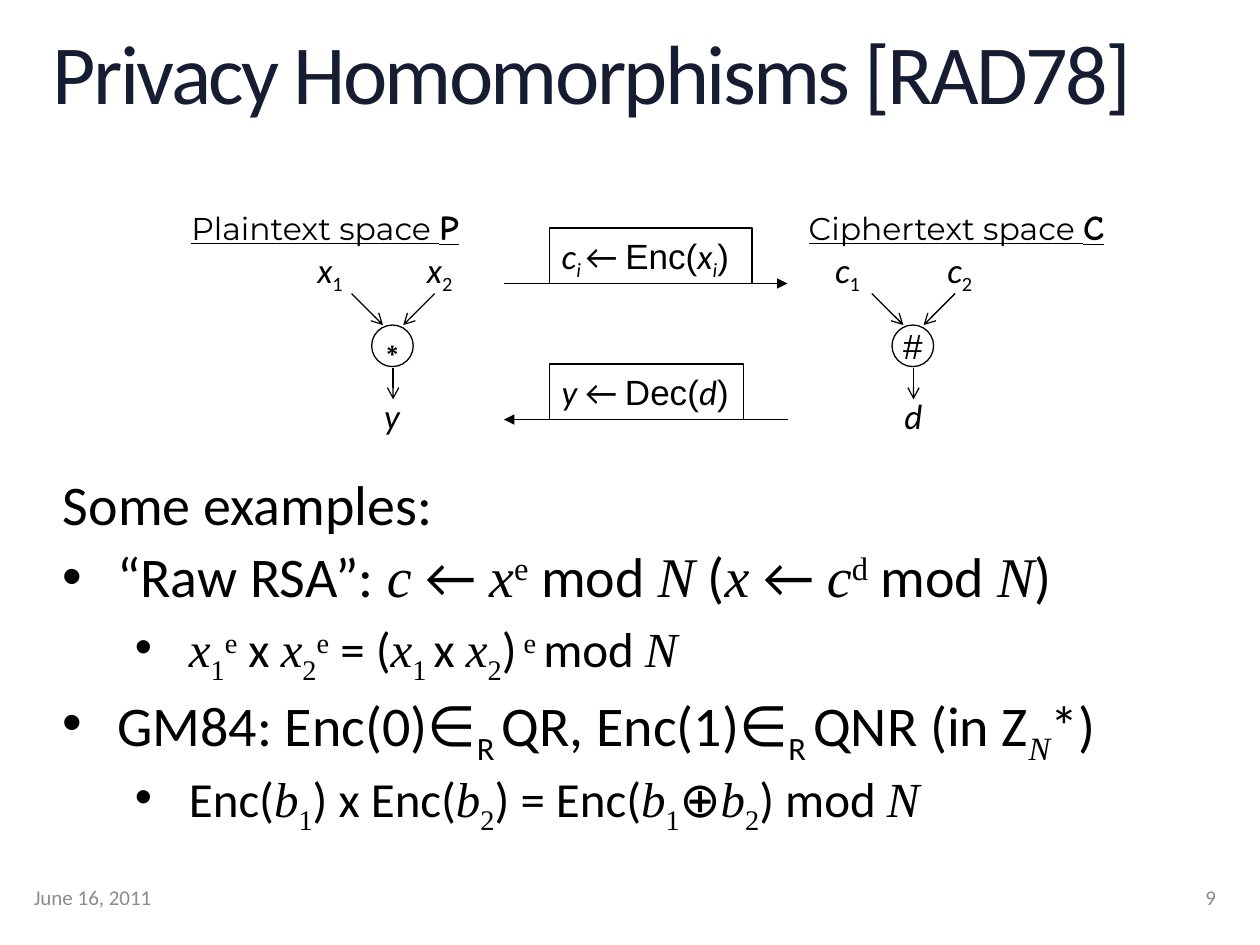
from dataclasses import dataclass, field
from typing import Optional

from lxml.etree import SubElement
from pptx import Presentation
from pptx.dml.color import RGBColor
from pptx.enum.shapes import MSO_CONNECTOR, MSO_SHAPE
from pptx.enum.text import MSO_ANCHOR, MSO_AUTO_SIZE, PP_ALIGN
from pptx.oxml.ns import qn
from pptx.util import Inches, Pt

BLACK = RGBColor(0, 0, 0)
NAVY = RGBColor(0x16, 0x1D, 0x32)
GREY = RGBColor(0x8C, 0x8C, 0x8C)
SANS, SERIF, ARIAL = "Calibri", "Times New Roman", "Arial"


@dataclass
class Run:
    text: str
    font: str = SANS
    slant: bool = False
    base: int = 0
    size: Optional[float] = None
    bold: bool = False
    under: bool = False


@dataclass
class Line:
    runs: list[Run]
    level: int = 0
    bullet: bool = True


@dataclass
class Side:
    """One half of the diagram: two inputs, an operator and a result."""
    name: str
    letter: str
    head: tuple[float, float]
    var: str
    left: float
    tab: float
    sign: str
    result: str
    mid: float


@dataclass
class Step:
    """A boxed formula resting on a long arrow."""
    runs: list[Run] = field(default_factory=list)
    top: float = 0
    width: float = 0
    end: str = "tailEnd"


def var(text: str, font: str = SERIF) -> Run:
    return Run(text, font, slant=True)


def sub(text: str, font: str = SERIF, slant: bool = False) -> Run:
    return Run(text, font, slant, base=-25)


def sup(text: str) -> Run:
    return Run(text, SERIF, base=30)


SIDES = [
    Side("Plaintext", "P", (1.42, 2.77), "x", 2.42, 0.87, "∗", "y", 3.12),
    Side("Ciphertext", "C", (6.32, 2.93), "c", 6.53, 0.89, "#", "d", 7.25),
]
STEPS = [
    Step([var("c", SANS), sub("i ", SANS, True), Run("← "), Run("Enc(", ARIAL),
          var("x", SANS), sub("i", SANS, True), Run(")", ARIAL)], 1.81, 1.61),
    Step([var("y ", SANS), Run("← "), Run("Dec(", ARIAL), var("d", SANS),
          Run(")", ARIAL)], 2.89, 1.54, "headEnd"),
]
LINES = [
    Line([Run("Some examples:")], bullet=False),
    Line([Run("“Raw RSA”: "), var("c "), Run("← "), var("x"), sup("e"),
          Run(" mod "), var("N"), Run(" ("), var("x "), Run("← "), var("c"),
          sup("d"), Run(" mod "), var("N"), Run(")")]),
    Line([var("x"), sub("1"), sup("e"), Run(" x "), var("x"), sub("2"), sup("e"),
          Run(" = ("), var("x"), sub("1 "), Run("x "), var("x"), sub("2"),
          Run(")"), sup(" e "), Run("mod "), var("N")], 1),
    Line([Run("GM84: Enc(0)∈"), sub("R ", SANS), Run("QR, Enc(1)∈"),
          sub("R ", SANS), Run("QNR (in Z"), sub("N", slant=True), Run("*)")]),
    Line([Run("Enc("), var("b"), sub("1"), Run(") x Enc("), var("b"), sub("2"),
          Run(") = Enc("), var("b"), sub("1"), Run("⊕"), var("b"), sub("2"),
          Run(") mod "), var("N")], 1),
]


def write(para, runs: list[Run], size: float, color: RGBColor = BLACK) -> None:
    for item in runs:
        run = para.add_run()
        run.text = item.text
        font = run.font
        font.name, font.size = item.font, Pt(item.size or size)
        font.italic, font.bold, font.underline = item.slant, item.bold, item.under
        font.color.rgb = color
        props = run._r.get_or_add_rPr()
        if item.base:
            props.set("baseline", str(item.base * 1000))
        for tag in ("a:ea", "a:cs"):
            SubElement(props, qn(tag)).set("typeface", item.font)


def add_text(slide, place: tuple, runs: list[Run], size: float = 20,
             color: RGBColor = BLACK):
    box = slide.shapes.add_textbox(*map(Inches, place))
    box.text_frame.word_wrap = True
    write(box.text_frame.paragraphs[0], runs, size, color)
    return box.text_frame


def add_node(slide, kind, place: tuple, runs: list[Run]):
    """Outlined shape whose text does not wrap."""
    node = slide.shapes.add_shape(kind, *map(Inches, place))
    node.shadow.inherit = False
    node.fill.background()
    node.line.color.rgb, node.line.width = BLACK, Pt(0.75)
    frame = node.text_frame
    frame.word_wrap = False
    write(frame.paragraphs[0], runs, 20)
    return frame


def add_arrow(slide, start: tuple, stop: tuple, head: str = "arrow",
              end: str = "tailEnd") -> None:
    link = slide.shapes.add_connector(
        MSO_CONNECTOR.STRAIGHT, *map(Inches, start + stop))
    link.line.color.rgb, link.line.width = BLACK, Pt(0.75)
    SubElement(link.line._get_or_add_ln(), qn(f"a:{end}")).set("type", head)
    SubElement(link._element.spPr, qn("a:effectLst"))


def clear_edge(frame) -> None:
    frame.margin_left = frame.margin_right = 0
    frame.margin_top = frame.margin_bottom = 0


def add_side(slide, side: Side) -> None:
    add_text(slide, (side.head[0], 1.58, side.head[1], 0.43), [
        Run(f"{side.name} space ", "Montserrat", size=18, under=True),
        Run(side.letter, "Comic Neue", bold=True, under=True)])
    pair = add_text(slide, (side.left, 1.92, 1.63, 0.43), [
        var(side.var, SANS), sub("1\t", SANS), var(side.var, SANS), sub("2", SANS)])
    tabs = SubElement(pair.paragraphs[0]._p.get_or_add_pPr(), qn("a:tabLst"))
    tab = SubElement(tabs, qn("a:tab"))
    tab.set("pos", str(Inches(side.tab)))
    tab.set("algn", "l")

    mid = side.mid
    frame = add_node(slide, MSO_SHAPE.OVAL, (mid - 0.17, 2.58, 0.33, 0.33),
                     [Run(side.sign, ARIAL)])
    frame.vertical_anchor = MSO_ANCHOR.MIDDLE
    frame.paragraphs[0].alignment = PP_ALIGN.CENTER
    for way in (-1, 1):
        add_arrow(slide, (mid + way * 0.33, 2.33), (mid + way * 0.08, 2.58))
    add_arrow(slide, (mid, 2.92), (mid, 3.17))
    add_text(slide, (mid - 0.17, 3.08, 0.33, 0.43), [var(side.result, SANS)])


def add_step(slide, step: Step) -> None:
    frame = add_node(slide, MSO_SHAPE.RECTANGLE,
                     (4.36, step.top, step.width, 0.44), step.runs)
    frame.auto_size = MSO_AUTO_SIZE.SHAPE_TO_FIT_TEXT
    frame.vertical_anchor = MSO_ANCHOR.TOP
    frame.paragraphs[0].alignment = PP_ALIGN.LEFT
    base = step.top + 0.44
    add_arrow(slide, (4, base), (6.25, base), "triangle", step.end)


def add_body(slide) -> None:
    box = slide.shapes.add_textbox(*map(Inches, (0.5, 3.79, 9.17, 2.71)))
    frame = box.text_frame
    frame.word_wrap = True
    clear_edge(frame)
    for index, line in enumerate(LINES):
        para = frame.add_paragraph() if index else frame.paragraphs[0]
        size = 28 if line.level else 32
        para.level, para.line_spacing = line.level, 0.9
        if index:
            para.space_before = Pt(size * 0.2)
        if line.bullet:
            props = para._p.get_or_add_pPr()
            props.set("marL", str(Inches(1 if line.level else 0.43)))
            props.set("indent", str(Inches(-0.43)))
            SubElement(props, qn("a:buFont")).set("typeface", ARIAL)
            SubElement(props, qn("a:buChar")).set("char", "•")
        write(para, line.runs, size)


def main() -> None:
    deck = Presentation()
    deck.slide_width, deck.slide_height = Inches(10), Inches(7.5)
    slide = deck.slides.add_slide(deck.slide_layouts[6])

    title = add_text(slide, (0.42, 0.25, 9.17, 0.73),
                     [Run("Privacy Homomorphisms [RAD78]")], 48, NAVY)
    clear_edge(title)
    title.paragraphs[0].line_spacing = 0.9
    title.paragraphs[0].runs[0]._r.get_or_add_rPr().set("spc", "-150")

    add_body(slide)
    for side in SIDES:
        add_side(slide, side)
    for step in STEPS:
        add_step(slide, step)

    date = add_text(slide, (0.17, 6.92, 2.33, 0.4), [Run("June 16, 2011")], 12, GREY)
    page = add_text(slide, (9.08, 6.92, 0.67, 0.4), [Run("9")], 12, GREY)
    date.vertical_anchor = page.vertical_anchor = MSO_ANCHOR.MIDDLE
    page.paragraphs[0].alignment = PP_ALIGN.RIGHT
    deck.save("out.pptx")


if __name__ == "__main__":
    main()
